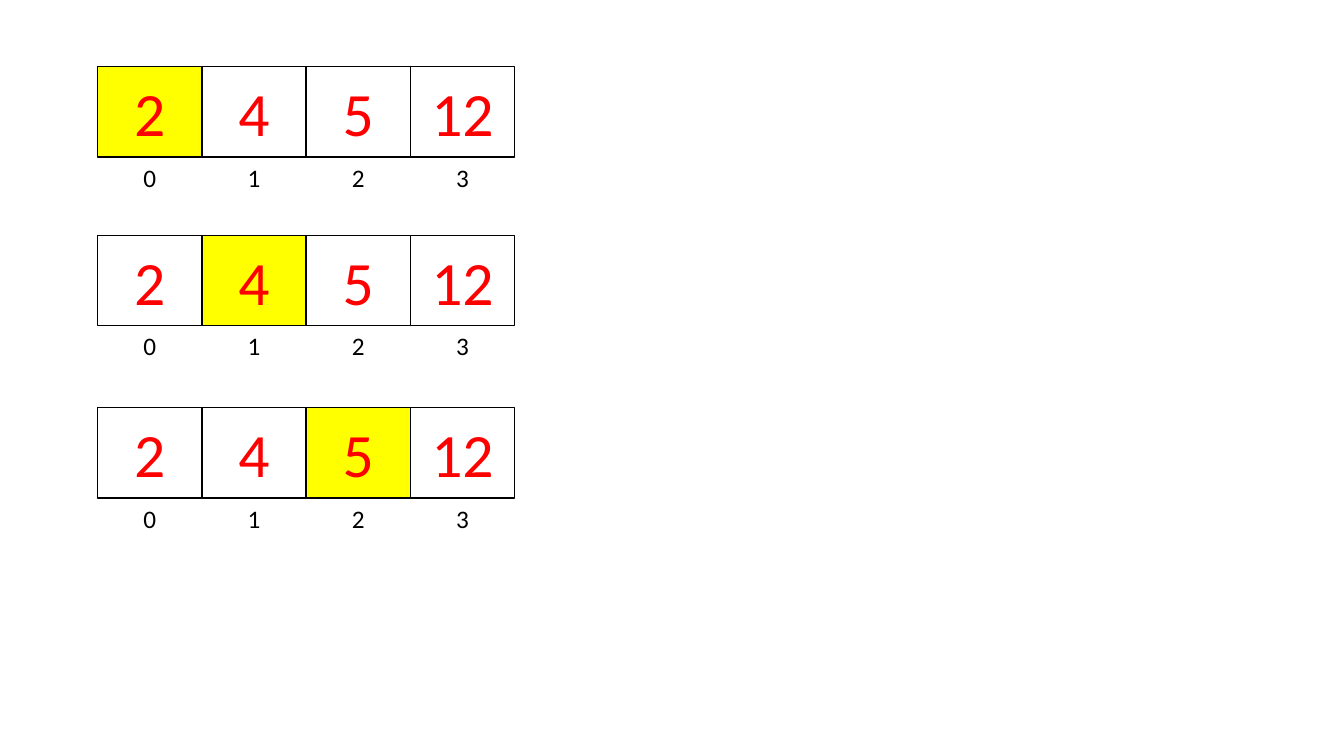
from pptx import Presentation
from pptx.dml.color import RGBColor
from pptx.enum.shapes import MSO_SHAPE
from pptx.enum.text import MSO_ANCHOR, PP_ALIGN
from pptx.util import Pt

# Content: one array, drawn once per step with the current element highlighted
VALUES = [2, 4, 5, 12]
STEPS = [  # top of the array, highlighted index
    {"top": 47.5, "current": 0},
    {"top": 168, "current": 1},
    {"top": 291, "current": 2},
]

COLORS = {"cell": "FFFFFF", "current": "FFFF00", "border": "000000",
          "value": "FF0000", "index": "000000"}
ARRAY_LEFT, CELL_WIDTH = 69.7, 74.5
VALUE_HEIGHT, INDEX_HEIGHT = 64.6, 26
VALUE_FONT = {"name": "Calibri", "size": Pt(44)}
INDEX_FONT = {"name": "Calibri", "size": Pt(18)}


def color(name):
    return RGBColor.from_string(COLORS[name])


def add_cell(shapes, label, column, top, height, fill, ink, font, anchor):
    cell = shapes.add_shape(
        MSO_SHAPE.RECTANGLE, Pt(ARRAY_LEFT + column * CELL_WIDTH), Pt(top),
        Pt(CELL_WIDTH), Pt(height))
    cell.shadow.inherit = False
    cell.fill.solid()
    cell.fill.fore_color.rgb = color(fill)
    cell.line.fill.background()
    cell.text_frame.vertical_anchor = anchor
    paragraph = cell.text_frame.paragraphs[0]
    paragraph.alignment = PP_ALIGN.CENTER
    run = paragraph.add_run()
    run.text = str(label)
    for attribute, setting in font.items():
        setattr(run.font, attribute, setting)
    run.font.color.rgb = color(ink)
    return cell


def main():
    deck = Presentation()
    deck.slide_width, deck.slide_height = Pt(960), Pt(540)
    slide = deck.slides.add_slide(deck.slide_layouts[6])

    for step in STEPS:
        # Index labels, grouped under the array
        indexes = slide.shapes.add_group_shape()
        for column in range(len(VALUES)):
            add_cell(indexes.shapes, column, column, step["top"] + VALUE_HEIGHT,
                     INDEX_HEIGHT, "cell", "index", INDEX_FONT, MSO_ANCHOR.TOP)

        # Array values
        for column, value in enumerate(VALUES):
            fill = "current" if column == step["current"] else "cell"
            cell = add_cell(slide.shapes, value, column, step["top"], VALUE_HEIGHT,
                            fill, "value", VALUE_FONT, MSO_ANCHOR.MIDDLE)
            cell.line.color.rgb = color("border")
            cell.line.width = Pt(1)

    deck.save("out.pptx")


if __name__ == "__main__":
    main()
